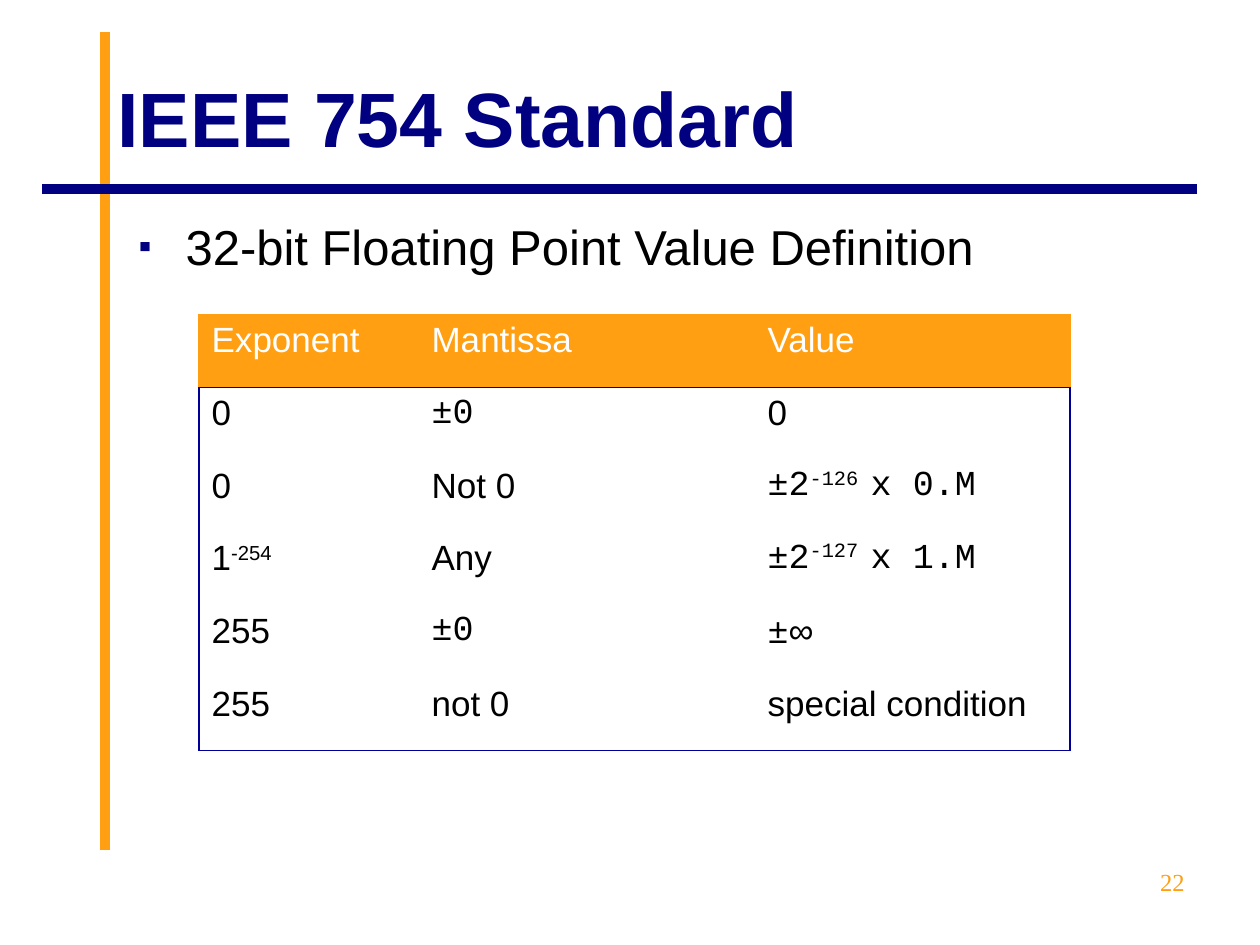
from dataclasses import dataclass

from lxml import etree
from pptx import Presentation
from pptx.dml.color import RGBColor
from pptx.enum.shapes import MSO_CONNECTOR
from pptx.enum.text import MSO_ANCHOR, MSO_AUTO_SIZE, PP_ALIGN
from pptx.oxml.ns import qn
from pptx.util import Emu, Pt

STRAIGHT = MSO_CONNECTOR.STRAIGHT
MIDDLE, TOP = MSO_ANCHOR.MIDDLE, MSO_ANCHOR.TOP
LEFT, RIGHT = PP_ALIGN.LEFT, PP_ALIGN.RIGHT
NO_AUTOFIT = MSO_AUTO_SIZE.NONE
EMU_PER_PX = 914400 / 126


@dataclass(frozen=True)
class Theme:
    navy: str = "000080"
    orange: str = "FF9F11"
    border: str = "000099"
    black: str = "000000"
    white: str = "FFFFFF"
    sans: str = "Arial"
    mono: str = "Courier New"
    serif: str = "Times New Roman"
    title_size: int = 44
    body_size: int = 28
    cell_size: int = 20
    number_size: int = 14
    rule_width: float = 5.5
    border_width: float = 0.75


THEME = Theme()
SANS, MONO = THEME.sans, THEME.mono

# Each cell is a list of (text, font) runs; a caret marks a raised run
HEADER = ["Exponent", "Mantissa", "Value"]
VALUES = [
    [[("0", SANS)], [("±0", MONO)], [("0", SANS)]],
    [[("0", SANS)], [("Not 0", SANS)],
     [("±2", MONO), ("^-126 ", MONO), ("x 0.M", MONO)]],
    [[("1", SANS), ("^-254", SANS)], [("Any", SANS)],
     [("±2", MONO), ("^-127 ", MONO), ("x 1.M", MONO)]],
    [[("255", SANS)], [("±0", MONO)], [("±", MONO), ("∞", SANS)]],
    [[("255", SANS)], [("not 0", SANS)], [("special condition", SANS)]],
]
COLUMN_WIDTHS = [220, 336, 315]
TABLE_HEIGHT = 436


def px(length):
    return Emu(round(length * EMU_PER_PX))


def style_run(run, size, color, name, bold=False):
    run.font.size = Pt(size)
    run.font.color.rgb = RGBColor.from_string(color)
    run.font.name = name
    run.font.bold = bold


def add_rule(slide, start, end, color):
    rule = slide.shapes.add_connector(
        STRAIGHT, px(start[0]), px(start[1]), px(end[0]), px(end[1]))
    rule.line.color.rgb = RGBColor.from_string(color)
    rule.line.width = Pt(THEME.rule_width)
    etree.SubElement(rule._element.spPr, qn("a:effectLst"))


def set_text(shape, box, text, anchor, align):
    shape.left, shape.top, shape.width, shape.height = map(px, box)
    frame = shape.text_frame
    frame.text = text
    frame.word_wrap = True
    frame.auto_size = NO_AUTOFIT
    frame.vertical_anchor = anchor
    paragraph = frame.paragraphs[0]
    paragraph.alignment = align
    paragraph.space_before = Pt(0)
    return paragraph


def add_bullet(paragraph, char, color, indent):
    properties = paragraph._p.get_or_add_pPr()
    properties.set("marL", str(px(indent)))
    properties.set("indent", str(-px(indent)))
    bullet_color = etree.SubElement(properties, qn("a:buClr"))
    etree.SubElement(bullet_color, qn("a:srgbClr"), val=color)
    etree.SubElement(properties, qn("a:buSzPct"), val="75000")
    etree.SubElement(properties, qn("a:buFont"), typeface=SANS)
    etree.SubElement(properties, qn("a:buChar"), char=char)


def set_borders(cell, colors):
    """Draw the sides named in colors and leave the others without a line."""
    properties = cell._tc.get_or_add_tcPr()
    for side in "LRTB":
        line = etree.SubElement(properties, qn(f"a:ln{side}"),
                                w=str(Pt(THEME.border_width)))
        if side in colors:
            fill = etree.SubElement(line, qn("a:solidFill"))
            etree.SubElement(fill, qn("a:srgbClr"), val=colors[side])
        else:
            etree.SubElement(line, qn("a:noFill"))


def fill_cell(cell, runs, color):
    paragraph = cell.text_frame.paragraphs[0]
    for text, name in runs:
        run = paragraph.add_run()
        run.text = text.lstrip("^")
        style_run(run, THEME.cell_size, color, name)
        if text.startswith("^"):
            run._r.get_or_add_rPr().set("baseline", "30000")


def add_value_table(slide):
    rows = [[[(label, SANS)] for label in HEADER]] + VALUES
    last_row, last_column = len(rows) - 1, len(HEADER) - 1
    table = slide.shapes.add_table(
        len(rows), len(HEADER), px(199), px(315),
        px(sum(COLUMN_WIDTHS)), px(TABLE_HEIGHT)).table
    table.first_row = table.horz_banding = False
    for column, width in zip(table.columns, COLUMN_WIDTHS):
        column.width = px(width)

    for r, row in enumerate(rows):
        table.rows[r].height = px(TABLE_HEIGHT / len(rows))
        for c, runs in enumerate(row):
            cell = table.cell(r, c)
            is_header = r == 0
            edge = THEME.orange if is_header else THEME.border
            borders = {}
            if is_header or c == 0:
                borders["L"] = edge
            if is_header or c == last_column:
                borders["R"] = edge
            if r <= 1:
                borders["T"] = edge
            if is_header or r == last_row:
                borders["B"] = THEME.border
            set_borders(cell, borders)
            if is_header:
                cell.fill.solid()
                cell.fill.fore_color.rgb = RGBColor.from_string(THEME.orange)
            else:
                cell.fill.background()
            fill_cell(cell, runs, THEME.white if is_header else THEME.black)


def main():
    deck = Presentation()
    deck.slide_width, deck.slide_height = px(1260), px(945)
    slide = deck.slides.add_slide(deck.slide_layouts[1])

    # Crossing rules
    add_rule(slide, (105, 850), (105, 32), THEME.orange)
    add_rule(slide, (1197, 189), (42, 189), THEME.navy)

    # Title and list
    title = set_text(slide.shapes.title, (105, 38, 1092, 157),
                     "IEEE 754 Standard", MIDDLE, LEFT)
    style_run(title.runs[0], THEME.title_size, THEME.navy, SANS, bold=True)
    topic = set_text(slide.placeholders[1], (126, 210, 1029, 624),
                     "32-bit Floating Point Value Definition", TOP, LEFT)
    add_bullet(topic, "▪", THEME.navy, 47)
    style_run(topic.runs[0], THEME.body_size, THEME.black, SANS)

    # Value definitions
    add_value_table(slide)

    # Page number
    number_box = slide.shapes.add_textbox(0, 0, 0, 0)
    number = set_text(number_box, (903, 861, 294, 65), "22", TOP, RIGHT)
    style_run(number.runs[0], THEME.number_size, THEME.orange, THEME.serif)

    deck.save("out.pptx")


if __name__ == "__main__":
    main()
